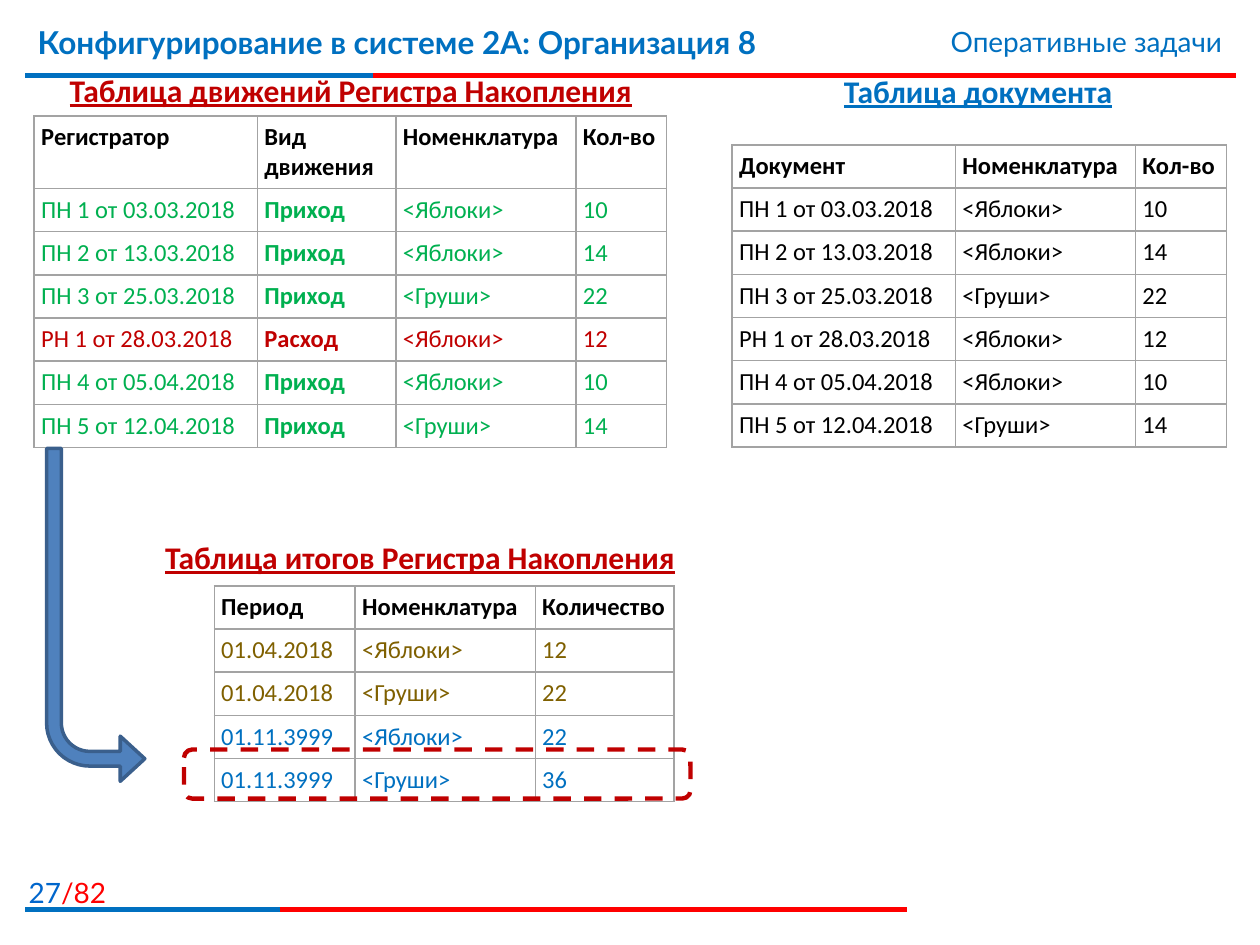
from lxml import etree
from pptx import Presentation
from pptx import util as u
from pptx.dml.color import RGBColor
from pptx.enum import dml, shapes, text
from pptx.oxml.ns import qn

BLUE, RED, DARK_RED = "0070C0", "FF0000", "C00000"
GREEN, BROWN, BLACK, GREY = "00B050", "7F6000", "000000", "A3A3A3"
HEADER_ROW, TALL_ROW = 0.87, 1.46
DOCUMENT_COL, ITEM_COL, COUNT_COL = 4.5, 3.63, 1.83


def rgb(value):
    """Turn a hex string into a colour."""
    return RGBColor.from_string(value)


def cm(*values):
    """Turn numbers into centimetre lengths."""
    return [u.Cm(v) for v in values]


def add_run(p, content, size=14, color=BLACK, bold=False, underline=False, font="Calibri"):
    """Append a formatted run to a paragraph."""
    r = p.add_run()
    r.text = content
    r.font.name = font
    r.font.size = u.Pt(size)
    r.font.bold = bold
    r.font.underline = underline
    r.font.color.rgb = rgb(color)


def add_text(s, box, runs, align="LEFT", **fmt):
    """Add a text box holding one paragraph of (text, colour) runs."""
    tf = s.shapes.add_textbox(*cm(*box)).text_frame
    tf.word_wrap = True
    p = tf.paragraphs[0]
    p.alignment = getattr(text.PP_ALIGN, align)
    for content, color in runs:
        add_run(p, content, color=color, **fmt)


def add_heading(s, box, content, color):
    """Add the underlined heading of a table."""
    add_text(s, box, [(content, color)], align="CENTER", size=18, bold=True, underline=True)


def add_rule(s, y, left, middle, right):
    """Add a red rule whose first part is blue."""
    for end, color in ((right, RED), (middle, BLUE)):
        line = s.shapes.add_connector(shapes.MSO_CONNECTOR.STRAIGHT, *cm(left, y, end, y))
        line.line.color.rgb = rgb(color)
        line.line.width = u.Pt(3)
        etree.SubElement(line._element.spPr, qn("a:effectLst"))


def add_borders(cell):
    """Draw a thin grey line on each side of a cell."""
    tcPr = cell._tc.get_or_add_tcPr()
    for i, side in enumerate("LRTB"):
        ln = etree.Element(qn(f"a:ln{side}"), w=str(u.Pt(1)))
        fill = etree.SubElement(ln, qn("a:solidFill"))
        etree.SubElement(fill, qn("a:srgbClr"), val=GREY)
        tcPr.insert(i, ln)


def fill_cell(cell, content, **fmt):
    """Write formatted text into a bordered, unfilled cell."""
    cell.margin_left = cell.margin_right = u.Cm(0.14)
    cell.margin_top = cell.margin_bottom = u.Cm(0.13)
    cell.fill.background()
    add_borders(cell)
    add_run(cell.text_frame.paragraphs[0], content, **fmt)


def add_table(s, left, top, widths, header, rows, colors, header_height=HEADER_ROW, bold_col=None):
    """Add a table with a bold header and one text colour per row."""
    height = header_height + HEADER_ROW * len(rows)
    box = cm(left, top, sum(widths), height)
    table = s.shapes.add_table(len(rows) + 1, len(widths), *box).table
    table.first_row = table.horz_banding = False
    for col, width in zip(table.columns, widths):
        col.width = u.Cm(width)
    for i, (values, color) in enumerate(zip([header] + rows, [BLACK] + colors)):
        table.rows[i].height = u.Cm(HEADER_ROW if i else header_height)
        for j, value in enumerate(values):
            fill_cell(table.cell(i, j), value, color=color, bold=i == 0 or j == bold_col)


def add_outline(s, kind, box, color, width):
    """Add an unfilled preset shape with a coloured outline."""
    sp = s.shapes.add_shape(kind, *cm(*box))
    sp.shadow.inherit = False
    sp.fill.background()
    sp.line.color.rgb = rgb(color)
    sp.line.width = u.Pt(width)
    return sp


def add_flow_arrow(s, box):
    """Add the bent arrow that leads down and to the right."""
    sp = add_outline(s, shapes.MSO_SHAPE.BENT_ARROW, box, "3A5F8C", 2)
    sp.fill.solid()
    sp.fill.fore_color.rgb = rgb("4F81BD")
    for i, value in enumerate((0.15, 0.23, 0.25, 0.44)):
        sp.adjustments[i] = value
    sp.rotation = 180
    sp._element.spPr.find(qn("a:xfrm")).set("flipH", "1")


def main():
    """Build the slide and save it."""
    prs = Presentation()
    prs.slide_width, prs.slide_height = cm(25.4, 19.05)
    s = prs.slides.add_slide(prs.slide_layouts[6])

    add_rule(s, 1.52, 0.51, 7.52, 24.92)
    add_rule(s, 18.34, 0.51, 5.64, 18.29)
    add_text(s, (-0.25, 17.53, 2.64, 0.81), [("27", "0066CC"), ("/82", RED)],
             align="RIGHT", size=16, font="Lato")
    add_text(s, (0.51, 0.33, 18.8, 1.57), [("Конфигурирование в системе 2А: Организация 8", BLUE)],
             size=18, bold=True, font="Lato")
    add_text(s, (15.09, 0.38, 9.8, 0.94), [("Оперативные задачи", BLUE)],
             align="RIGHT", size=16, font="Lato")

    add_heading(s, (14.12, 1.32, 11.2, 1.02), "Таблица документа", BLUE)
    add_heading(s, (0.71, 1.3, 12.73, 1.02), "Таблица движений Регистра Накопления", DARK_RED)
    add_heading(s, (2.87, 10.72, 11.2, 1.02), "Таблица итогов Регистра Накопления", DARK_RED)

    totals = [
        ("01.04.2018", "<Яблоки>", "12"),
        ("01.04.2018", "<Груши>", "22"),
        ("01.11.3999", "<Яблоки>", "22"),
        ("01.11.3999", "<Груши>", "36"),
    ]
    documents = [
        ("ПН 1 от 03.03.2018", "<Яблоки>", "10"),
        ("ПН 2 от 13.03.2018", "<Яблоки>", "14"),
        ("ПН 3 от 25.03.2018", "<Груши>", "22"),
        ("РН 1 от 28.03.2018", "<Яблоки>", "12"),
        ("ПН 4 от 05.04.2018", "<Яблоки>", "10"),
        ("ПН 5 от 12.04.2018", "<Груши>", "14"),
    ]
    receipts = [name.startswith("ПН") for name, _, _ in documents]
    movements = [(name, "Приход" if receipt else "Расход", item, count)
                 for (name, item, count), receipt in zip(documents, receipts)]

    add_table(s, 4.32, 11.81, (2.84, ITEM_COL, 2.8), ("Период", "Номенклатура", "Количество"),
              totals, [BROWN] * 2 + [BLUE] * 2)
    add_table(s, 14.76, 2.92, (DOCUMENT_COL, ITEM_COL, COUNT_COL),
              ("Документ", "Номенклатура", "Кол-во"), documents, [BLACK] * len(documents))
    add_table(s, 0.69, 2.34, (DOCUMENT_COL, 2.79, ITEM_COL, COUNT_COL),
              ("Регистратор", "Вид движения", "Номенклатура", "Кол-во"), movements,
              [GREEN if receipt else DARK_RED for receipt in receipts],
              header_height=TALL_ROW, bold_col=1)

    add_flow_arrow(s, (0.94, 9.04, 1.98, 6.71))
    frame = add_outline(s, shapes.MSO_SHAPE.ROUNDED_RECTANGLE, (3.71, 15.11, 10.21, 0.99),
                        DARK_RED, 2.5)
    frame.line.dash_style = dml.MSO_LINE.DASH
    prs.save("out.pptx")


if __name__ == "__main__":
    main()
